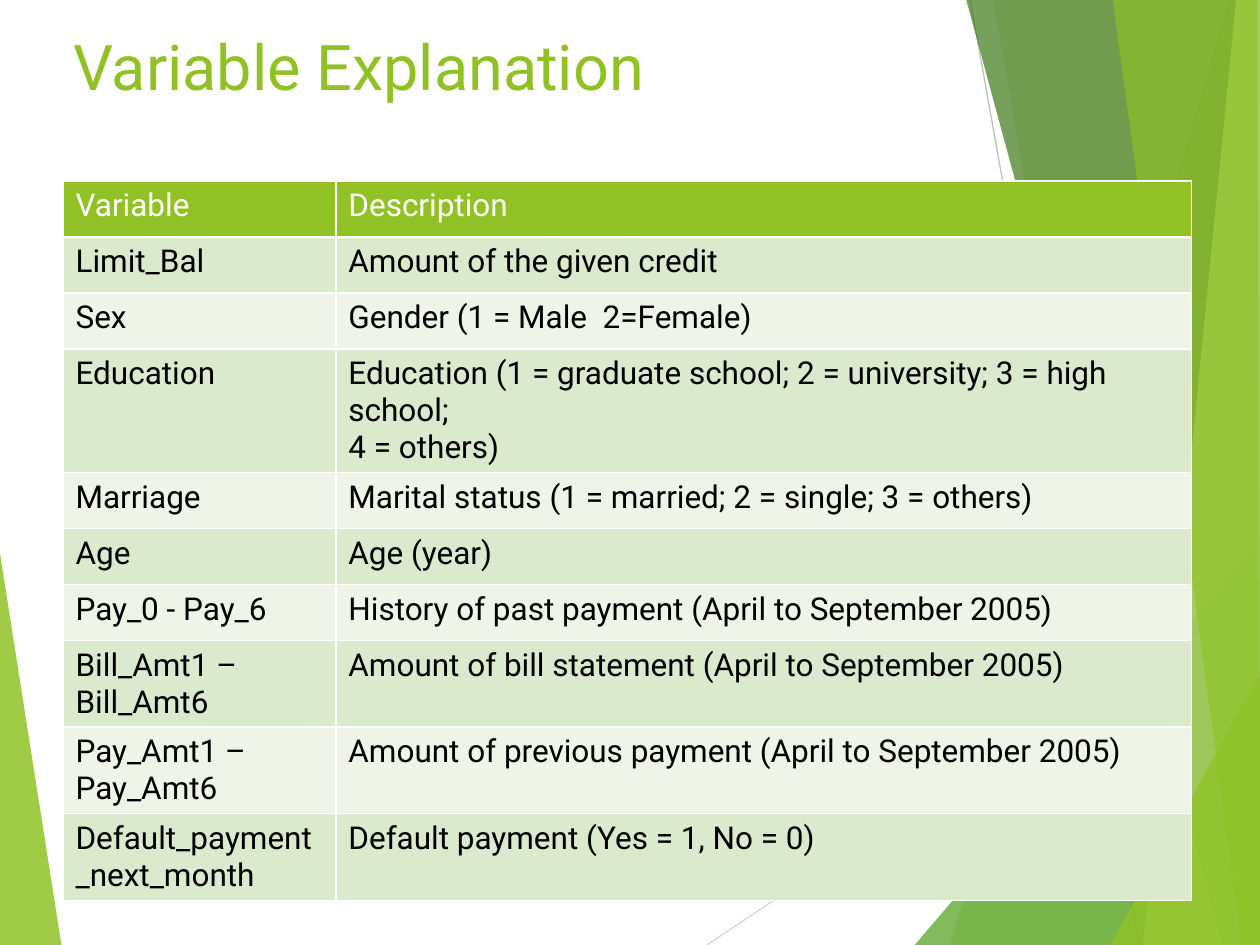
from lxml.etree import SubElement
from pptx import Presentation
from pptx.dml.color import RGBColor
from pptx.enum.shapes import MSO_CONNECTOR
from pptx.enum.text import MSO_ANCHOR, PP_ALIGN
from pptx.oxml.ns import qn
from pptx.util import Cm, Pt

FONT = "Roboto"
LIME, WHITE, BLACK = "90C226", "FFFFFF", "000000"
BANDS = ["DBE9CD", "EEF4E8"]
W, H = 25.4, 19.05

# Background rays, back to front: points in cm, colour, opacity in percent
RAYS = [
    ([(0, 11.15), (1.24, H), (0, H)], LIME, 85),
    ([(24.77, 0), (19.15, H), (W, H), (W, 0)], LIME, 30),
    ([(20.02, 0), (23.34, H), (W, H), (W, 0)], LIME, 20),
    ([(18.44, H), (W, 10.9), (W, H)], "54A021", 72),
    ([(19.48, 0), (24.64, H), (W, H), (W, 0)], "3F7819", 70),
    ([(24.92, 0), (23.04, H), (W, H), (W, 0)], "C0E474", 70),
    ([(22.43, 0), (25.04, H), (W, H), (25.35, 0)], LIME, 65),
    ([(22.38, H), (W, 13.59), (W, H)], LIME, 80),
]
LINES = [
    (14.25, H, W, 11.61, "D9D9D9"),
    (19.56, 0, 22.96, H, "BFBFBF"),
]
ROWS = [
    ("Variable", "Description"),
    ("Limit_Bal", "Amount of the given credit"),
    ("Sex", "Gender (1 = Male  2=Female)"),
    ("Education", "Education (1 = graduate school; 2 = university; "
                  "3 = high school;\n4 = others)"),
    ("Marriage", "Marital status (1 = married; 2 = single; 3 = others)"),
    ("Age", "Age (year)"),
    ("Pay_0 - Pay_6", "History of past payment (April to September 2005)"),
    ("Bill_Amt1 – Bill_Amt6",
     "Amount of bill statement (April to September 2005)"),
    ("Pay_Amt1 – Pay_Amt6",
     "Amount of previous payment (April to September 2005)"),
    ("Default_payment_next_month", "Default payment (Yes = 1, No = 0)"),
]


def paint(fill, tint):
    fill.solid()
    fill.fore_color.rgb = RGBColor.from_string(tint)


def style(frame, size, tint):
    for para in frame.paragraphs:
        font = para.font
        font.name, font.size, font.bold = FONT, Pt(size), False
        font.color.rgb = RGBColor.from_string(tint)
        para.alignment = PP_ALIGN.LEFT


def add_ray(slide, points, tint, alpha):
    spots = [(Cm(x), Cm(y)) for x, y in points]
    pen = slide.shapes.build_freeform(*spots[0], scale=1.0)
    pen.add_line_segments(spots[1:], close=True)
    ray = pen.convert_to_shape()
    ray.shadow.inherit = False
    ray.line.fill.background()
    paint(ray.fill, tint)
    clr = ray.fill._xPr.find(".//" + qn("a:srgbClr"))
    SubElement(clr, qn("a:alpha"), val=str(alpha * 1000))


def add_line(slide, x1, y1, x2, y2, tint):
    line = slide.shapes.add_connector(
        MSO_CONNECTOR.STRAIGHT, Cm(x1), Cm(y1), Cm(x2), Cm(y2))
    line.line.width = Pt(0.75)
    paint(line.line.fill, tint)
    SubElement(line._element.spPr, qn("a:effectLst"))


def set_title(slide, text):
    title = slide.shapes.title
    title.left, title.top = Cm(1.22), Cm(0.43)
    title.width, title.height = Cm(19.5), Cm(3.18)
    title.text_frame.text = text
    title.text_frame.vertical_anchor = MSO_ANCHOR.TOP
    style(title.text_frame, 36, LIME)
    # Bring the title in front of the rays
    title._element.getparent().append(title._element)


def add_edges(cell):
    props = cell._tc.get_or_add_tcPr()
    for side in "LRTB":
        edge = SubElement(props, qn("a:ln" + side), w=str(Pt(1)))
        fill = SubElement(edge, qn("a:solidFill"))
        SubElement(fill, qn("a:srgbClr"), val=WHITE)


def add_grid(slide):
    frame = slide.shapes.add_table(len(ROWS), 2, Cm(1.27), Cm(3.65),
                                   Cm(22.75), Cm(1.13 * len(ROWS)))
    grid = frame.table
    grid.first_row = grid.horz_banding = False
    for col, wide in zip(grid.columns, (5.5, 17.25)):
        col.width = Cm(wide)
    for r, texts in enumerate(ROWS):
        grid.rows[r].height = Cm(1.13)
        for c, text in enumerate(texts):
            cell = grid.cell(r, c)
            cell.text = text
            style(cell.text_frame, 18, BLACK if r else WHITE)
            add_edges(cell)
            paint(cell.fill, BANDS[(r - 1) % 2] if r else LIME)


def main():
    deck = Presentation()
    deck.slide_width, deck.slide_height = Cm(W), Cm(H)
    slide = deck.slides.add_slide(deck.slide_layouts[5])
    # Background: left ray, thin lines, right rays
    add_ray(slide, *RAYS[0])
    for line in LINES:
        add_line(slide, *line)
    for ray in RAYS[1:]:
        add_ray(slide, *ray)
    # Content
    set_title(slide, "Variable Explanation")
    add_grid(slide)
    deck.save("out.pptx")


if __name__ == "__main__":
    main()
